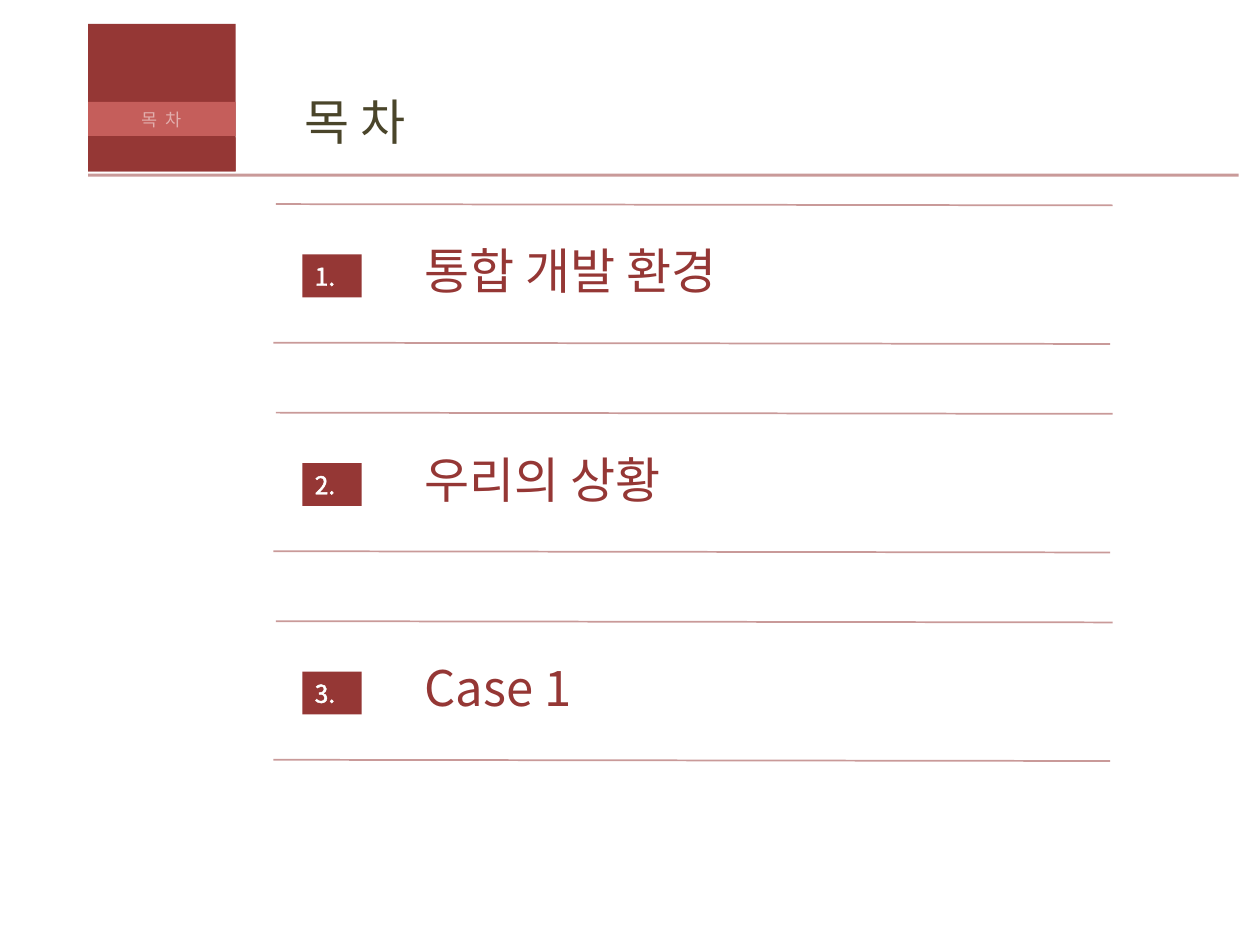
"""Build a table of contents slide with three numbered entries."""
from pptx import Presentation
from pptx.util import Inches, Pt
from pptx.dml.color import RGBColor
from pptx.enum.shapes import MSO_SHAPE, MSO_CONNECTOR
from pptx.enum.text import PP_ALIGN as Align, MSO_ANCHOR as Anchor
from pptx.oxml import parse_xml
from pptx.oxml.ns import nsdecls, qn

FONT = "Noto Sans CJK KR"
RED, ROSE, OLIVE, WHITE = "953735", "C55E5B", "4A452A", "FFFFFF"


def paint(fill, color, alpha=100):
    fill.solid()
    fill.fore_color.rgb = RGBColor.from_string(color)
    if alpha < 100:
        tint = fill._xPr.find(qn("a:solidFill"))[0]
        tint.append(parse_xml(f'<a:alpha {nsdecls("a")} val="{alpha * 1000}"/>'))


def write(shape, text, size, color, edge, align=Align.LEFT, alpha=100):
    frame = shape.text_frame
    frame.word_wrap = True
    para = frame.paragraphs[0]
    para.alignment = align
    run = para.add_run()
    run.text = text
    font = run.font
    font.name, font.size = FONT, Pt(size)
    paint(font.fill, color, alpha)
    props = run._r.get_or_add_rPr()
    props.insert(0, parse_xml(
        f'<a:ln {nsdecls("a")} w="9525"><a:solidFill><a:srgbClr val="{color}">'
        f'<a:alpha val="{edge * 1000}"/></a:srgbClr></a:solidFill></a:ln>'))
    props.find(qn("a:latin")).addnext(
        parse_xml(f'<a:ea {nsdecls("a")} typeface="{FONT}"/>'))


deck = Presentation()
deck.slide_width, deck.slide_height = Inches(10), Inches(7.5)
slide = deck.slides.add_slide(deck.slide_layouts[6])
shapes = slide.shapes

title = shapes.add_textbox(Inches(2.32), Inches(0.68), Inches(1.88), Inches(0.57))
write(title, "목 차", 28, OLIVE, 80)

bars = []
for top, height, color in [(0.19, 1.17, RED), (0.81, 0.27, ROSE), (1.09, 0.27, RED)]:
    bar = shapes.add_shape(MSO_SHAPE.RECTANGLE, Inches(0.7), Inches(top),
                           Inches(1.17), Inches(height))
    bar.shadow.inherit = False
    paint(bar.fill, color)
    bar.line.fill.background()
    bars.append(bar)
bars[1].text_frame.vertical_anchor = Anchor.MIDDLE
write(bars[1], "목  차", 10, WHITE, 50, Align.CENTER, 50)

rules = [(shapes, 0.7, 9.83, 1.39, 1.39, 1.75)]
for i, name in enumerate(["통합 개발 환경", "우리의 상황", "Case 1"]):
    top = 1.62 + 1.655 * i
    group = shapes.add_group_shape().shapes
    entry = group.add_textbox(Inches(3.27), Inches(top + 0.24), Inches(4.8), Inches(0.57))
    write(entry, name, 28, RED, 50)
    badge = group.add_shape(MSO_SHAPE.RECTANGLE, Inches(2.4), Inches(top + 0.4),
                            Inches(0.47), Inches(0.34))
    badge.shadow.inherit = False
    paint(badge.fill, RED)
    badge.line.fill.background()
    badge.text_frame.vertical_anchor = Anchor.MIDDLE
    write(badge, f"{i + 1}.", 14, WHITE, 100, Align.JUSTIFY)
    rules += [(group, 2.17, 8.81, top + 1.1, top + 1.11, 1),
              (group, 2.19, 8.83, top, top + 0.01, 1)]

for home, left, right, start, end, width in rules:
    rule = home.add_connector(MSO_CONNECTOR.STRAIGHT, Inches(left), Inches(start),
                              Inches(right), Inches(end))
    paint(rule.line.fill, RED, 50)
    rule.line.width = Pt(width)
    rule._element.spPr.append(parse_xml(f'<a:effectLst {nsdecls("a")}/>'))

deck.save("out.pptx")
